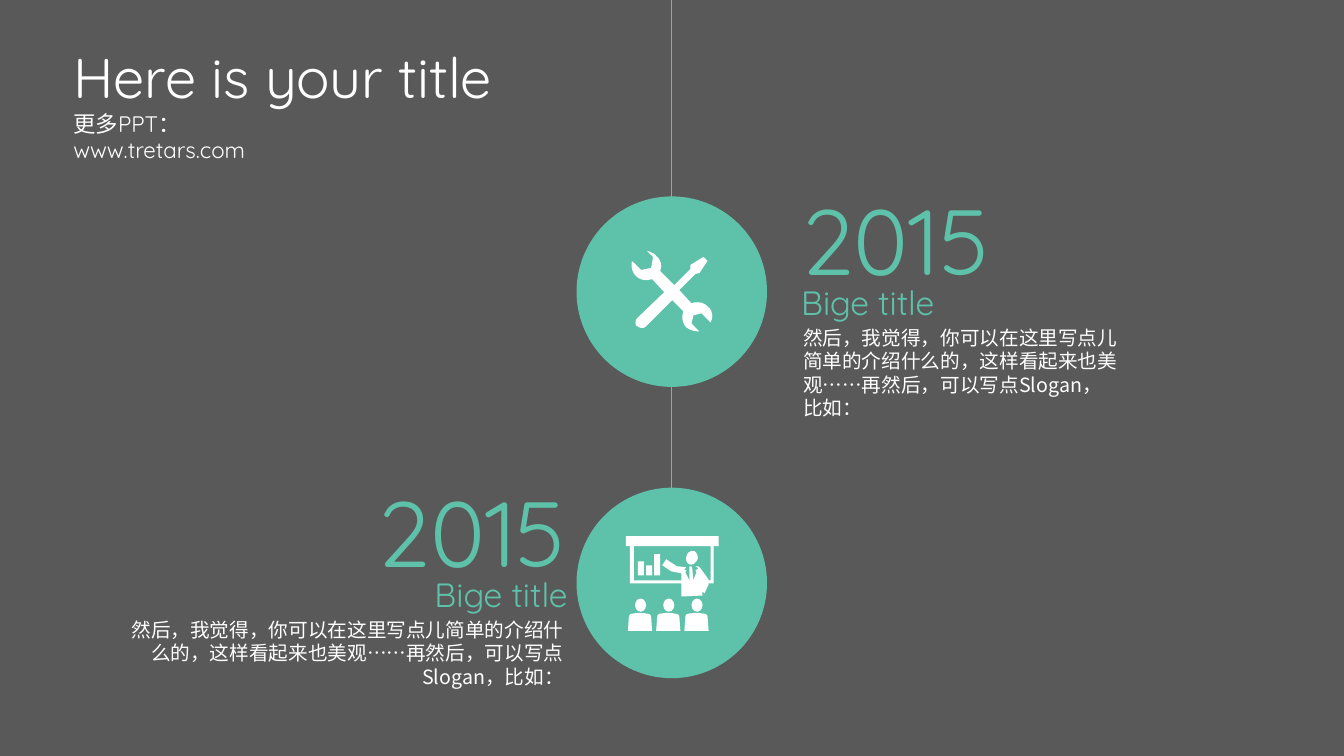
import pptx
import pptx.dml.color
import pptx.enum.dml
import pptx.enum.lang
import pptx.enum.shapes
import pptx.enum.text
import pptx.oxml
import pptx.oxml.ns
import pptx.util

Cm = pptx.util.Cm
Pt = pptx.util.Pt
ALIGN = pptx.enum.text.PP_ALIGN
SHAPE = pptx.enum.shapes.MSO_SHAPE

GREY = pptx.dml.color.RGBColor(0x59, 0x59, 0x59)
TEAL = pptx.dml.color.RGBColor(0x5E, 0xC2, 0xAA)
WHITE = pptx.dml.color.RGBColor(0xFF, 0xFF, 0xFF)
LATIN_FONT = "Quicksand"
CHINESE_FONT = "Noto Sans CJK SC"
INTRO = "然后，我觉得，你可以在这里写点儿简单的介绍什么的，这样看起来也美观……再然后，可以写点Slogan，比如："

CIRCLE_SIZE = 4.8
CIRCLE_LEFT = 14.53
ICON_UNIT = 0.0254
FINE = 10
CURVE_STEPS = 6

TOOLS = [
    (130, 109), (126, 105, 120, 104, 114, 106), (102, 93), (118, 77), (122, 76),
    (130, 64), (126, 60), (113, 68), (113, 72), (97, 88), (83, 74),
    (85, 69, 84, 63, 79, 59), (77, 56, 73, 55, 70, 54), (76, 60), (74, 71),
    (64, 73), (55, 64), (54, 70, 55, 75, 59, 79), (63, 83, 69, 84, 75, 82),
    (87, 95), (60, 121), (58, 123, 58, 127, 60, 129), (61, 129),
    (63, 131, 67, 131, 69, 129), (95, 103), (106, 114),
    (104, 119, 105, 126, 109, 130), (113, 133, 118, 134, 122, 134), (114, 126),
    (116, 118), (124, 116), (133, 125), (136, 119, 135, 113, 130, 109),
]
BOARD_OUTER = [(53, 52), (136, 52), (136, 95), (53, 95)]
BOARD_INNER = [(57, 54), (57, 92), (133, 92), (133, 54)]
SPEAKER = [
    (131, 91), (123, 80), (121, 78), (118, 78), (121, 80), (118, 82), (119, 84),
    (114, 96), (108, 84), (109, 82), (107, 81), (109, 79), (100, 78), (98, 77),
    (89, 71), (85, 77), (94, 83), (104, 85), (104, 108), (125, 107), (125, 103),
    (127, 105), (131, 96),
]
TIE_KNOT = [(112, 78), (112, 81), (113, 82), (115, 81), (114, 78)]
TIE = [(112, 81), (112, 96), (114, 98), (116, 96), (115, 81)]
SPEAKER_HEAD = [
    (109, 68), (108, 71, 109, 75, 112, 76), (115, 77, 118, 75, 120, 71),
    (121, 68, 119, 64, 117, 63), (113, 62, 110, 64, 109, 68),
]
LISTENER = [
    (19, 125), (14, 124, 10, 124, 4, 125), (3, 125, 1, 126, 1, 128), (0, 142),
    (24, 142), (23, 128), (23, 126, 21, 125, 19, 125),
]


def write(frame, text, size, color=WHITE, font=LATIN_FONT, align=ALIGN.LEFT, spacing=None):
    """Put formatted text in a frame."""
    frame.word_wrap = True
    frame.auto_size = pptx.enum.text.MSO_AUTO_SIZE.NONE
    frame.vertical_anchor = pptx.enum.text.MSO_ANCHOR.TOP
    frame.text = text
    paragraph = frame.paragraphs[0]
    paragraph.alignment = align
    paragraph.line_spacing = spacing
    for run in paragraph.runs:
        run.font.size = Pt(size)
        run.font.color.rgb = color
        run.font.name = font
        run.font.language_id = pptx.enum.lang.MSO_LANGUAGE_ID.SIMPLIFIED_CHINESE
        east_asian = pptx.oxml.parse_xml(
            f'<a:ea {pptx.oxml.ns.nsdecls("a")} typeface="{CHINESE_FONT}"/>')
        run.font.fill
        run.font._element.append(east_asian)


def label(slide, box, text, size, **style):
    """Add a text box given in centimetres."""
    write(slide.shapes.add_textbox(*map(Cm, box)).text_frame, text, size, **style)


def paint(shape, color):
    """Give a shape a plain fill without line or shadow."""
    shape.shadow.inherit = False
    shape.fill.solid()
    shape.fill.fore_color.rgb = color
    shape.line.fill.background()


def trace(outline):
    """Turn corners and cubic curves into fine points."""
    points = []
    for step in outline:
        if len(step) == 2:
            points.append((step[0] * FINE, step[1] * FINE))
            continue
        start = points[-1]
        controls = [value * FINE for value in step]
        for index in range(1, CURVE_STEPS + 1):
            t = index / CURVE_STEPS
            points.append(tuple(
                (1 - t) ** 3 * start[axis] + 3 * (1 - t) ** 2 * t * controls[axis]
                + 3 * (1 - t) * t ** 2 * controls[axis + 2] + t ** 3 * controls[axis + 4]
                for axis in (0, 1)))
    return points


def icon_outline(group, top, *outlines, shift=0):
    """Draw a white outline relative to a circle's corner."""
    contours = [trace(outline) for outline in outlines]
    builder = group.shapes.build_freeform(*contours[0][0], scale=Cm(ICON_UNIT) / FINE)
    builder.add_line_segments(contours[0][1:])
    for contour in contours[1:]:
        builder.move_to(*contour[0])
        builder.add_line_segments(contour[1:])
    left = CIRCLE_LEFT + shift * ICON_UNIT
    paint(builder.convert_to_shape(Cm(left), Cm(top)), WHITE)


def icon_part(group, top, kind, x, y, width, height):
    """Draw a white preset part relative to a circle's corner."""
    part = group.shapes.add_shape(
        kind, Cm(CIRCLE_LEFT + x * ICON_UNIT), Cm(top + y * ICON_UNIT),
        Cm(width * ICON_UNIT), Cm(height * ICON_UNIT))
    paint(part, WHITE)


def circle(slide, top):
    """Add a timeline circle in a group of its own."""
    group = slide.shapes.add_group_shape()
    disc = group.shapes.add_shape(
        SHAPE.OVAL, Cm(CIRCLE_LEFT), Cm(top), Cm(CIRCLE_SIZE), Cm(CIRCLE_SIZE))
    paint(disc, TEAL)
    return group


def tools_circle(slide, top):
    """Draw the circle with crossed tools."""
    icon_outline(circle(slide, top), top, TOOLS)


def lecture_circle(slide, top):
    """Draw the circle with a speaker, a board and listeners."""
    group = circle(slide, top)
    icon_outline(group, top, BOARD_OUTER, BOARD_INNER)
    icon_part(group, top, SHAPE.RECTANGLE, 49, 48, 92, 10)
    for outline in (SPEAKER, TIE_KNOT, TIE, SPEAKER_HEAD):
        icon_outline(group, top, outline)
    for index in range(3):
        x = 51 + 28 * index
        icon_part(group, top, SHAPE.OVAL, x + 7, 110, 11, 13)
        icon_outline(group, top, LISTENER, shift=x)
    for index, height in enumerate((14, 10, 21)):
        icon_part(group, top, SHAPE.RECTANGLE, 61 + 8 * index, 87 - height, 6, height)


def header(slide, left, top):
    """Place the title and the line of contact below it."""
    title = slide.shapes.title
    title.left, title.top, title.width, title.height = map(Cm, (left, top, 11.25, 1.96))
    write(title.text_frame, "Here is your title", 40)
    label(slide, (left, top + 1.7, 7.85, 0.94), "更多PPT：\vwww.tretars.com", 16)


def timeline(slide, center, bottom):
    """Draw the vertical line behind the circles."""
    line = slide.shapes.add_connector(
        pptx.enum.shapes.MSO_CONNECTOR.STRAIGHT, Cm(center), Cm(0), Cm(center), Cm(bottom))
    line.line.color.rgb = TEAL
    line.line.width = Pt(0.75)
    line._element.spPr.append(
        pptx.oxml.parse_xml(f'<a:effectLst {pptx.oxml.ns.nsdecls("a")}/>'))


def entry(slide, box, offsets, align):
    """Write a year, heading and introduction in a box."""
    left, top, width, height = box
    year, heading, intro = (left + offset for offset in offsets)
    label(slide, (intro, top + 3.58, width, height - 3.58), INTRO, 14,
          font=CHINESE_FONT, align=align, spacing=Pt(16.8))
    label(slide, (year, top, 5.74, 3.07), "2015", 66, color=TEAL, align=align)
    label(slide, (heading, top + 2.48, 4.01, 1.27), "Bige title", 24, color=TEAL)


def main():
    """Build and save the slide."""
    deck = pptx.Presentation()
    deck.slide_width, deck.slide_height = Cm(33.87), Cm(19.05)
    slide = deck.slides.add_slide(deck.slide_layouts[5])
    slide.background.fill.solid()
    slide.background.fill.fore_color.rgb = GREY
    header(slide, 1.6, 0.94)
    timeline(slide, CIRCLE_LEFT + CIRCLE_SIZE / 2, 14.38)
    tools_circle(slide, 4.95)
    entry(slide, (19.94, 4.5, 8.43, 6.83), (0, 0, 0.05), ALIGN.LEFT)
    entry(slide, (2.95, 11.86, 11.51, 6.22), (5.84, 7.75, 0), ALIGN.RIGHT)
    lecture_circle(slide, 12.29)
    deck.save("out.pptx")


if __name__ == "__main__":
    main()
